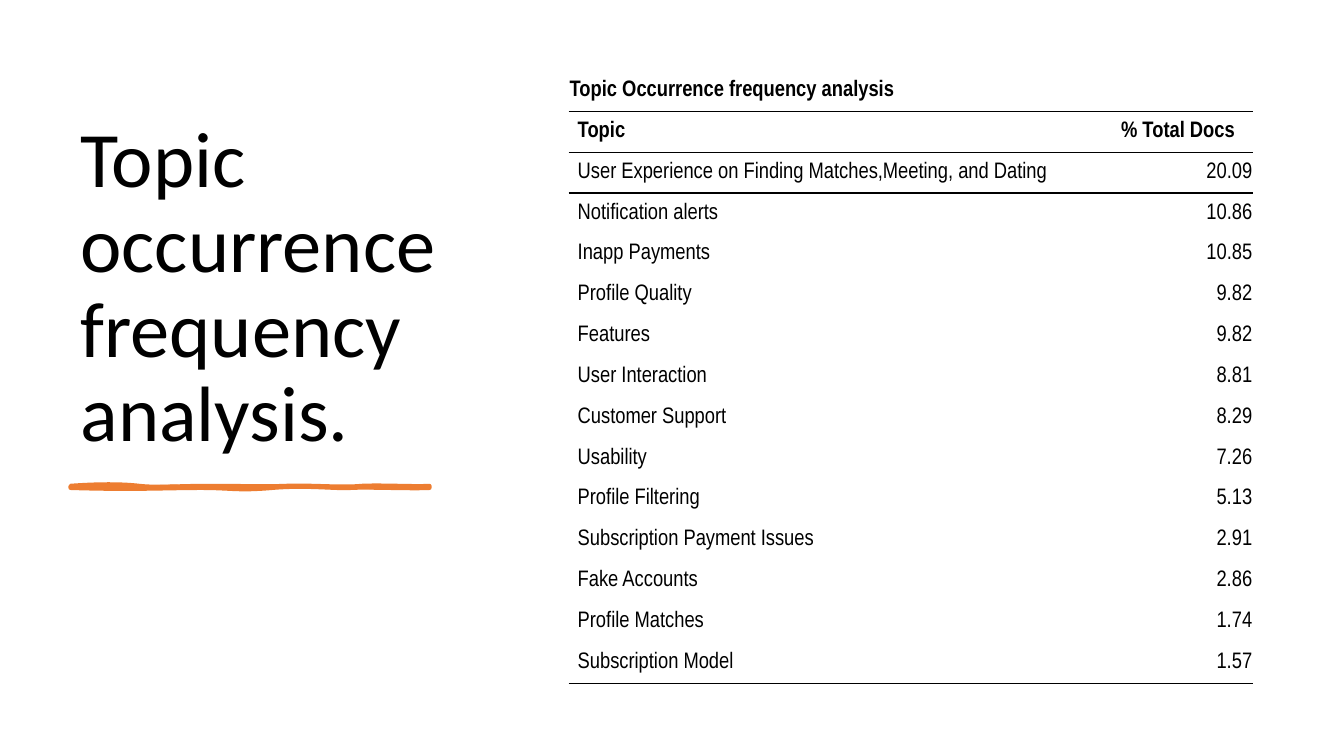
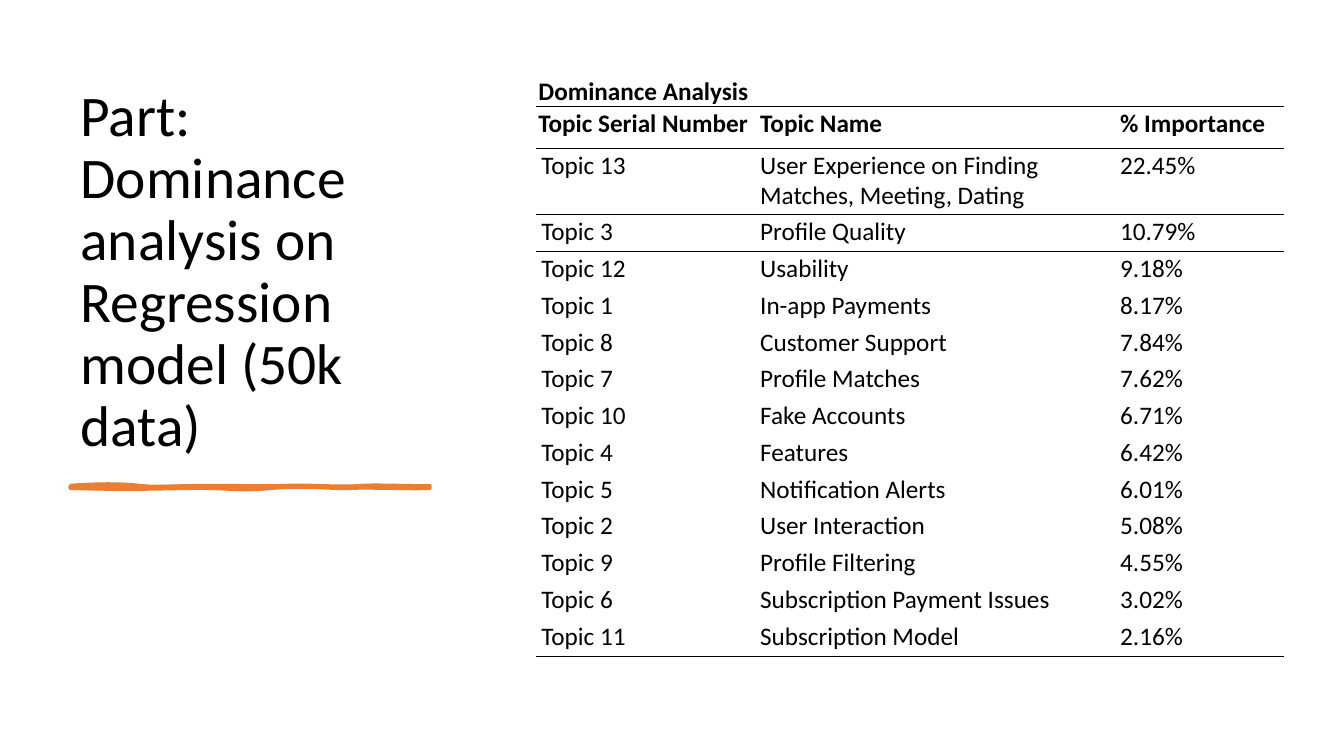
"""Build two slides that pair a brush-underlined title with a ruled topic table."""
from dataclasses import dataclass

from lxml import etree
from pptx import Presentation
from pptx import util as u
from pptx.dml.color import RGBColor
from pptx.enum import text
from pptx.oxml import ns
from pptx.util import Inches

Point = tuple[float, float]
Curve = tuple[Point, Point, Point]


@dataclass(frozen=True)
class Theme:
    ink: str = "000000"
    accent: str = "ED7D31"
    title_font: str = "Calibri"
    title_spacing: float = 0.9
    brush_pt: float = 3
    rule_pt: float = 1
    plain_table: str = "{2D5ABB26-0587-4C30-8999-92F81FD0307C}"


@dataclass(frozen=True)
class TopicTable:
    left: float
    top: float
    cols: list[float]
    heights: list[float]
    rows: list[list[str]]
    font: str
    size: int
    indents: tuple[float, float, float]
    inset: float
    bottom_inset: float
    body_anchor: text.MSO_ANCHOR
    value_align: text.PP_ALIGN
    rules_below: set[int]
    merge_caption: bool = False


@dataclass(frozen=True)
class TopicSlide:
    title: str
    title_size: int
    table: TopicTable


THEME = Theme()
ANCHOR, ALIGN = text.MSO_ANCHOR, text.PP_ALIGN

BRUSH_UNITS = 100
BRUSH_START: Point = (0.7, 4.82)
BRUSH_OUTLINE: list[Curve] = [
    ((0.97, 4.8), (1.21, 4.8), (1.38, 4.82)),
    ((1.55, 4.84), (1.77, 4.82), (2.09, 4.82)),
    ((2.41, 4.82), (2.6, 4.83), (2.84, 4.82)),
    ((3.08, 4.81), (3.39, 4.84), (3.59, 4.82)),
    ((3.79, 4.81), (4.12, 4.83), (4.26, 4.82)),
    ((4.26, 4.83), (4.26, 4.84), (4.26, 4.84)),
    ((4.08, 4.85), (3.64, 4.83), (3.48, 4.84)),
    ((3.32, 4.85), (3.04, 4.81), (2.7, 4.84)),
    ((2.35, 4.87), (2.31, 4.84), (1.99, 4.84)),
    ((1.66, 4.84), (1.32, 4.86), (0.7, 4.84)),
    ((0.7, 4.84), (0.7, 4.83), (0.7, 4.82)),
]
BRUSH_BODY: list[Curve] = [
    ((1.02, 4.84), (1.1, 4.83), (1.38, 4.82)),
    ((1.66, 4.81), (1.69, 4.8), (1.99, 4.82)),
    ((2.28, 4.84), (2.61, 4.83), (2.77, 4.82)),
    ((2.93, 4.81), (3.27, 4.85), (3.44, 4.82)),
    ((3.62, 4.8), (3.97, 4.86), (4.26, 4.82)),
    ((4.26, 4.83), (4.26, 4.83), (4.26, 4.84)),
    ((4.12, 4.84), (3.72, 4.87), (3.55, 4.84)),
    ((3.38, 4.82), (3.09, 4.84), (2.77, 4.84)),
    ((2.44, 4.84), (2.4, 4.83), (2.16, 4.84)),
    ((1.93, 4.85), (1.79, 4.83), (1.45, 4.84)),
    ((1.11, 4.85), (0.92, 4.84), (0.7, 4.84)),
    ((0.7, 4.83), (0.7, 4.83), (0.7, 4.82)),
]

OCCURRENCE = TopicTable(
    left=5.64, top=0.7, cols=[5.47, 1.32], heights=[6.08 / 15] * 15,
    rows=[
        ["Topic Occurrence frequency analysis", ""],
        ["Topic", "% Total Docs"],
        ["User Experience on Finding Matches,Meeting, and Dating", "20.09"],
        ["Notification alerts", "10.86"],
        ["Inapp Payments", "10.85"],
        ["Profile Quality", "9.82"],
        ["Features", "9.82"],
        ["User Interaction", "8.81"],
        ["Customer Support", "8.29"],
        ["Usability", "7.26"],
        ["Profile Filtering", "5.13"],
        ["Subscription Payment Issues", "2.91"],
        ["Fake Accounts", "2.86"],
        ["Profile Matches", "1.74"],
        ["Subscription Model", "1.57"],
    ],
    font="Arial Narrow", size=16, indents=(0.01, 0.09, 0.09),
    inset=0.01, bottom_inset=0.1, body_anchor=ANCHOR.BOTTOM,
    value_align=ALIGN.RIGHT, rules_below={0, 1, 14},
)

DOMINANCE = TopicTable(
    left=5.32, top=0.69, cols=[2.2, 3.57, 1.65],
    heights=[0.37, 0.41, 0.66] + [4.38 / 12] * 12,
    rows=[
        ["Dominance Analysis", "", ""],
        ["Topic Serial Number", "Topic Name", "% Importance"],
        ["Topic 13", "User Experience on Finding Matches, Meeting, Dating", "22.45%"],
        ["Topic 3", "Profile Quality", "10.79%"],
        ["Topic 12", "Usability", "9.18%"],
        ["Topic 1", "In-app Payments", "8.17%"],
        ["Topic 8", "Customer Support", "7.84%"],
        ["Topic 7", "Profile Matches", "7.62%"],
        ["Topic 10", "Fake Accounts", "6.71%"],
        ["Topic 4", "Features", "6.42%"],
        ["Topic 5", "Notification Alerts", "6.01%"],
        ["Topic 2", "User Interaction", "5.08%"],
        ["Topic 9", "Profile Filtering", "4.55%"],
        ["Topic 6", "Subscription Payment Issues", "3.02%"],
        ["Topic 11", "Subscription Model", "2.16%"],
    ],
    font="Calibri", size=18, indents=(0.02, 0.02, 0.05),
    inset=0.02, bottom_inset=0, body_anchor=ANCHOR.TOP,
    value_align=ALIGN.LEFT, rules_below={0, 1, 2, 14}, merge_caption=True,
)

SLIDES = [
    TopicSlide("Topic occurrence frequency analysis.", 56, OCCURRENCE),
    TopicSlide("Part: Dominance analysis on Regression model (50k data)", 41, DOMINANCE),
]


def add_run(p, words: str, font: str, size: int, bold: bool = False) -> None:
    r = p.add_run()
    r.text = words
    r.font.name, r.font.size, r.font.bold = font, u.Pt(size), bold
    r.font.color.rgb = RGBColor.from_string(THEME.ink)


def add_title(s, words: str, size: int) -> None:
    tf = s.shapes.add_textbox(*map(Inches, (0.7, 0.7, 3.91, 3.9))).text_frame
    tf.word_wrap = True
    tf.vertical_anchor = ANCHOR.BOTTOM
    p = tf.paragraphs[0]
    p.line_spacing = THEME.title_spacing
    add_run(p, words, THEME.title_font, size)


def add_step(outline, tag: str, *points: Point) -> None:
    step = etree.SubElement(outline, ns.qn(tag))
    for point in points:
        x, y = (round((c - c0) * BRUSH_UNITS) for c, c0 in zip(point, BRUSH_START))
        etree.SubElement(step, ns.qn("a:pt"), x=str(x), y=str(y))


def add_brush(s) -> None:
    x, y = (round(c * BRUSH_UNITS) for c in BRUSH_START)
    builder = s.shapes.build_freeform(x, y, scale=Inches(1) / BRUSH_UNITS)
    builder.add_line_segments(
        [tuple(round(c * BRUSH_UNITS) for c in end) for _, _, end in BRUSH_OUTLINE])
    sp = builder.convert_to_shape()
    sp.shadow.inherit = False
    color = RGBColor.from_string(THEME.accent)
    sp.fill.solid()
    sp.fill.fore_color.rgb = color
    sp.line.color.rgb = color
    sp.line.width = u.Pt(THEME.brush_pt)
    outlines = next(sp._element.iter(ns.qn("a:pathLst")))
    size = {key: outlines[0].get(key) for key in ("w", "h")}
    outlines.remove(outlines[0])
    for curves, paint in ((BRUSH_OUTLINE, {"fill": "none"}), (BRUSH_BODY, {"stroke": "0"})):
        outline = etree.SubElement(outlines, ns.qn("a:path"), **size, **paint)
        add_step(outline, "a:moveTo", BRUSH_START)
        for curve in curves:
            add_step(outline, "a:cubicBezTo", *curve)
        add_step(outline, "a:close")


def add_rule(cell, tag: str) -> None:
    tc_pr = cell._tc.get_or_add_tcPr()
    ln = etree.SubElement(tc_pr, ns.qn(tag), w=str(u.Pt(THEME.rule_pt)))
    fill = etree.SubElement(ln, ns.qn("a:solidFill"))
    etree.SubElement(fill, ns.qn("a:srgbClr"), val=THEME.ink)


def fill_cell(cell, spec: TopicTable, row: int, col: int) -> None:
    cell.margin_left = Inches(spec.indents[min(row, 2)] if col == 0 else spec.inset)
    cell.margin_top = cell.margin_right = Inches(spec.inset)
    cell.margin_bottom = Inches(spec.bottom_inset)
    cell.vertical_anchor = spec.body_anchor if row else ANCHOR.BOTTOM
    if row - 1 in spec.rules_below:
        add_rule(cell, "a:lnT")
    if row in spec.rules_below:
        add_rule(cell, "a:lnB")
    cell.fill.background()
    p = cell.text_frame.paragraphs[0]
    words = spec.rows[row][col]
    if words:
        add_run(p, words, spec.font, spec.size, bold=row < 2)
    else:
        p._p.get_or_add_endParaRPr().set("sz", str(spec.size * 100))
    if row > 1 and col == len(spec.cols) - 1:
        p.alignment = spec.value_align


def add_topic_table(s, spec: TopicTable) -> None:
    frame = s.shapes.add_table(
        len(spec.rows), len(spec.cols), Inches(spec.left), Inches(spec.top),
        Inches(sum(spec.cols)), Inches(sum(spec.heights)))
    table = frame.table
    table.first_row = table.horz_banding = False
    next(frame._element.iter(ns.qn("a:tableStyleId"))).text = THEME.plain_table
    for column, width in zip(table.columns, spec.cols):
        column.width = Inches(width)
    for row, height in enumerate(spec.heights):
        table.rows[row].height = Inches(height)
        for col in range(len(spec.cols)):
            fill_cell(table.cell(row, col), spec, row, col)
    if spec.merge_caption:
        table.cell(0, 0).merge(table.cell(0, 1))


def main() -> None:
    prs = Presentation()
    prs.slide_width, prs.slide_height = Inches(13.33), Inches(7.5)
    for spec in SLIDES:
        s = prs.slides.add_slide(prs.slide_layouts[6])
        add_title(s, spec.title, spec.title_size)
        add_brush(s)
        add_topic_table(s, spec.table)
    prs.save("out.pptx")


if __name__ == "__main__":
    main()
